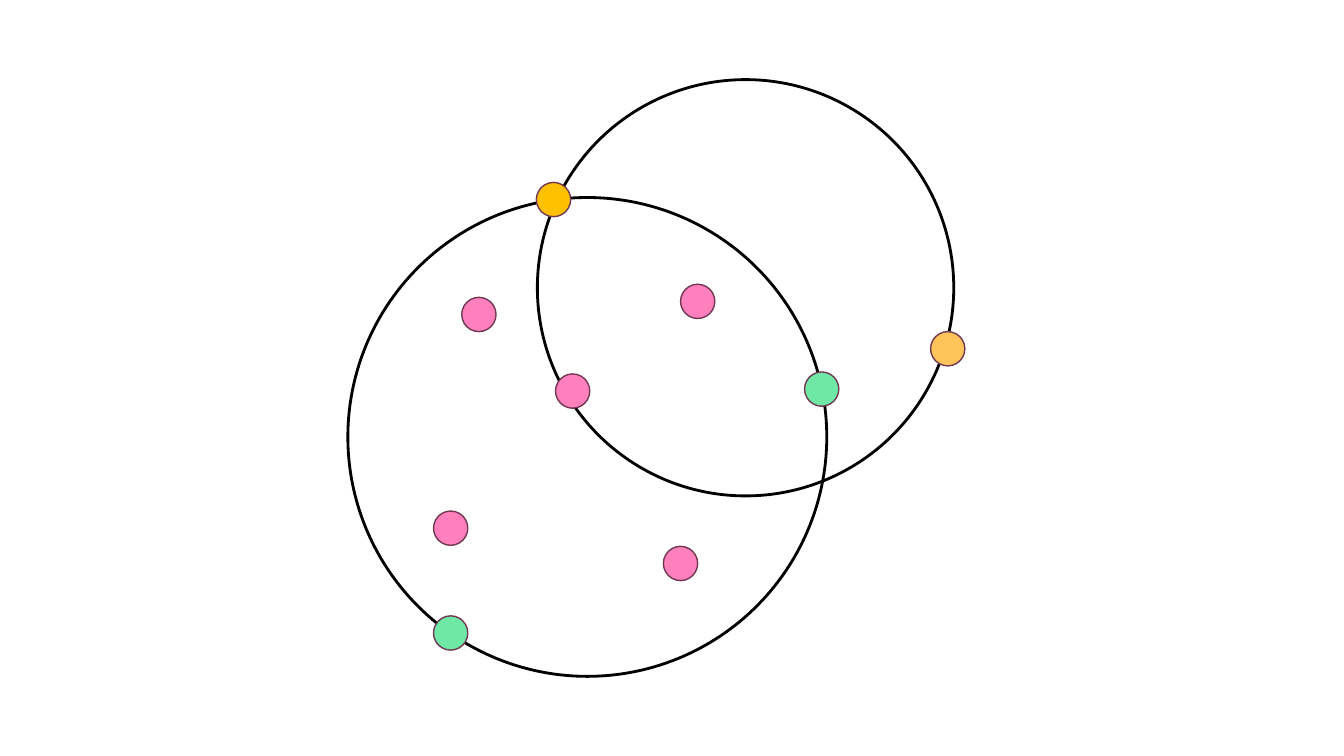
from typing import NamedTuple, Optional

from pptx import Presentation
from pptx.dml.color import RGBColor
from pptx.enum.shapes import MSO_SHAPE
from pptx.util import Inches, Pt

OVAL = MSO_SHAPE.OVAL

SLIDE_WIDTH = Inches(13.33)
SLIDE_HEIGHT = Inches(7.5)
GRID_ROWS = 75
CELL = SLIDE_HEIGHT / GRID_ROWS

POINT_SIZE = 3.4
BLACK = "000000"
PLUM = "703853"
PINK = "FF80BD"
GREEN = "6FE7A5"
ORANGE = "FFC459"
AMBER = "FFC000"


class Circle(NamedTuple):
    column: float
    row: float
    diameter: float
    fill: Optional[str]
    line: str
    weight: float


def color(value: str) -> RGBColor:
    return RGBColor.from_string(value)


def enclosing(column: float, row: float, diameter: float) -> Circle:
    return Circle(column, row, diameter, None, BLACK, 2)


def point(column: float, row: float, fill: str) -> Circle:
    return Circle(column, row, POINT_SIZE, fill, PLUM, 1)


def draw_circle(page, circle: Circle) -> None:
    left = round((circle.column - circle.diameter / 2) * CELL)
    top = round((circle.row - circle.diameter / 2) * CELL)
    size = round(circle.diameter * CELL)
    shape = page.shapes.add_shape(OVAL, left, top, size, size)
    shape.shadow.inherit = False
    if circle.fill is None:
        shape.fill.background()
    else:
        shape.fill.solid()
        shape.fill.fore_color.rgb = color(circle.fill)
    shape.line.color.rgb = color(circle.line)
    shape.line.width = Pt(circle.weight)


CIRCLES = [
    enclosing(58.25, 43.35, 47.5),
    point(69.2, 29.9, PINK),
    point(67.5, 55.9, PINK),
    point(81.5, 38.6, GREEN),
    point(44.7, 62.8, GREEN),
    point(44.7, 52.4, PINK),
    enclosing(73.95, 28.55, 41.3),
    point(94, 34.6, ORANGE),
    point(54.9, 19.8, AMBER),
    point(56.8, 38.8, PINK),
    point(47.5, 31.2, PINK),
]


def main() -> None:
    deck = Presentation()
    deck.slide_width = SLIDE_WIDTH
    deck.slide_height = SLIDE_HEIGHT
    page = deck.slides.add_slide(deck.slide_layouts[6])
    for circle in CIRCLES:
        draw_circle(page, circle)
    deck.save("out.pptx")


if __name__ == "__main__":
    main()
